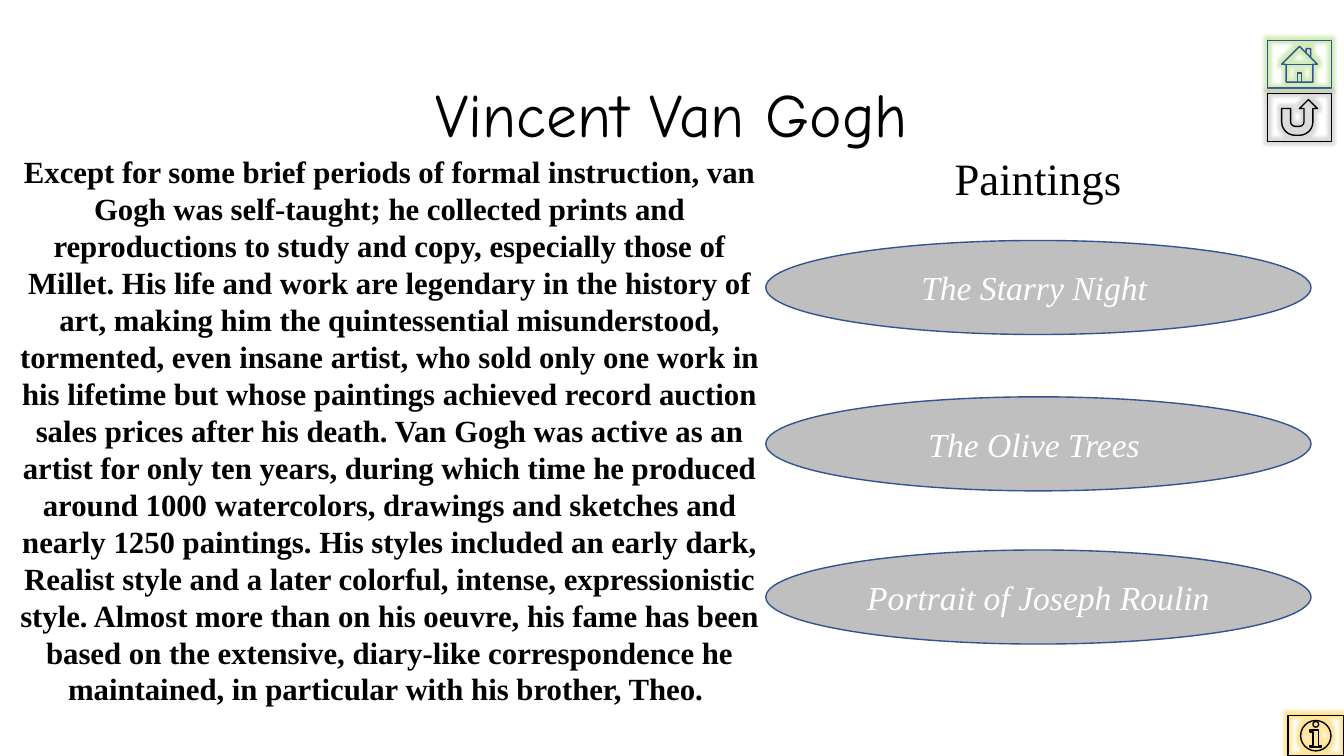
from lxml.etree import SubElement
from pptx import Presentation
from pptx.dml.color import RGBColor
from pptx.enum.shapes import MSO_SHAPE
from pptx.enum.text import MSO_ANCHOR, PP_ALIGN
from pptx.oxml.ns import qn
from pptx.util import Cm, Pt

BLACK = RGBColor(0, 0, 0)
WHITE = RGBColor(255, 255, 255)
BLUE = RGBColor(0x32, 0x54, 0x91)
GREEN = RGBColor(0x92, 0xD0, 0x50)
GRAY = RGBColor(0xA5, 0xA5, 0xA5)
GOLD = RGBColor(0xFF, 0xC0, 0x00)
SERIF = "Times New Roman"

BIO = (
    "Except for some brief periods of formal instruction, van Gogh was "
    "self-taught; he collected prints and reproductions to study and copy, "
    "especially those of Millet.",
    "His life and work are legendary in the history of art, making him the "
    "quintessential misunderstood, tormented, even insane artist, who sold "
    "only one work in his lifetime but whose paintings achieved record "
    "auction sales prices after his death.",
    "Van Gogh was active as an artist for only ten years, during which time "
    "he produced around 1000 watercolors, drawings and sketches and nearly "
    "1250 paintings.",
    "His styles included an early dark, Realist style and a later colorful, "
    "intense, expressionistic style.",
    "Almost more than on his oeuvre, his fame has been based on the "
    "extensive, diary-like correspondence he maintained, in particular with "
    "his brother, Theo. ",
)


def write(frame, text, size, font=SERIF, color=BLACK, bold=False,
          italic=False, anchor=MSO_ANCHOR.TOP, space=None):
    frame.word_wrap = True
    frame.vertical_anchor = anchor
    para = frame.paragraphs[0]
    para.alignment = PP_ALIGN.CENTER
    para.line_spacing = space
    run = para.add_run()
    run.text = text
    run.font.name = font
    run.font.size = Pt(size)
    run.font.bold = bold
    run.font.italic = italic
    run.font.color.rgb = color


def set_alpha(node, share):
    SubElement(node, qn("a:alpha"), val=str(share * 1000))


class Page:
    def __init__(self, deck):
        self.slide = deck.slides.add_slide(deck.slide_layouts[5])
        self.shapes = self.slide.shapes

    def title(self, text, box):
        head = self.shapes.title
        head.left, head.top, head.width, head.height = map(Cm, box)
        write(head.text_frame, text, 44, font="Comic Neue",
              anchor=MSO_ANCHOR.MIDDLE, space=0.9)

    def text(self, text, box, size, **style):
        label = self.shapes.add_textbox(*map(Cm, box))
        write(label.text_frame, text, size, **style)

    def shape(self, kind, box, line):
        item = self.shapes.add_shape(kind, *map(Cm, box))
        item.shadow.inherit = False
        item.line.color.rgb = line
        item.line.width = Pt(1)
        return item

    def button(self, kind, box, line, glow):
        item = self.shape(kind, box, line)
        item.fill.background()
        effect = item.element.spPr.find(qn("a:effectLst"))
        halo = SubElement(effect, qn("a:glow"), rad=str(Pt(5)))
        tint = SubElement(halo, qn("a:srgbClr"), val=str(glow))
        set_alpha(tint, 40)

    def oval(self, text, box):
        item = self.shape(MSO_SHAPE.OVAL, box, BLUE)
        item.fill.solid()
        item.fill.fore_color.rgb = BLACK
        set_alpha(item.element.spPr.find(qn("a:solidFill"))[0], 25)
        write(item.text_frame, text, 24, color=WHITE, italic=True,
              anchor=MSO_ANCHOR.MIDDLE)


def main():
    deck = Presentation()
    deck.slide_width = Cm(33.87)
    deck.slide_height = Cm(19.05)
    page = Page(deck)
    page.button(MSO_SHAPE.ACTION_BUTTON_HOME, (31.95, 1.02, 1.6, 1.2), BLUE, GREEN)
    page.button(MSO_SHAPE.ACTION_BUTTON_RETURN, (31.95, 2.36, 1.6, 1.2), BLACK, GRAY)
    page.button(MSO_SHAPE.ACTION_BUTTON_INFORMATION, (32.46, 18.03, 1.4, 1.02),
                BLACK, GOLD)
    page.title("Vincent Van Gogh", (2.33, 1.12, 29.21, 3.68))
    page.text("Paintings", (22.96, 3.68, 6.4, 1.63), 32)
    works = (
        ("The Starry Night ", 6.06),
        ("The Olive Trees ", 10),
        ("Portrait of Joseph Roulin", 13.86),
    )
    for name, top in works:
        page.oval(name, (19.3, top, 13.74, 2.37))
    page.text(" ".join(BIO), (0, 3.73, 19.63, 14.35), 22, bold=True)
    deck.save("out.pptx")


if __name__ == "__main__":
    main()
